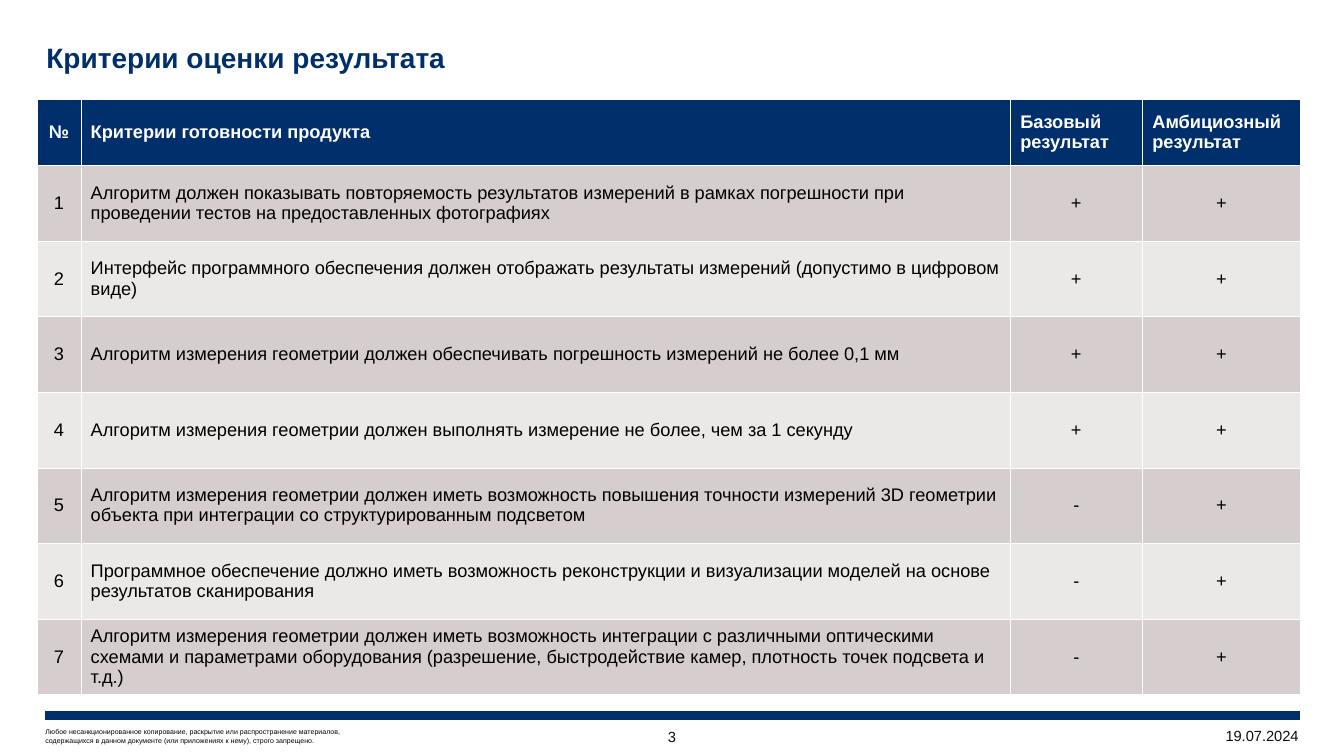
from lxml.etree import SubElement
from pptx import Presentation
from pptx.dml.color import RGBColor
from pptx.enum.shapes import MSO_CONNECTOR
from pptx.enum.text import MSO_ANCHOR, PP_ALIGN
from pptx.oxml.ns import qn
from pptx.util import Emu, Pt

NAVY = RGBColor(0x00, 0x2F, 0x6C)
WHITE = RGBColor(0xFF, 0xFF, 0xFF)
BLACK = RGBColor(0x00, 0x00, 0x00)
NEAR_BLACK = RGBColor(0x0D, 0x0D, 0x0D)
BAND_DARK = RGBColor(0xD5, 0xCD, 0xCE)
BAND_LIGHT = RGBColor(0xEB, 0xE8, 0xE8)

HEADERS = ("№", "Критерии готовности продукта", "Базовый результат", "Амбициозный результат")
CRITERIA = (
    ("Алгоритм должен показывать повторяемость результатов измерений в рамках погрешности "
     "при проведении тестов на предоставленных фотографиях", "+", "+"),
    ("Интерфейс программного обеспечения должен отображать результаты измерений "
     "(допустимо в цифровом виде)", "+", "+"),
    ("Алгоритм измерения геометрии должен обеспечивать погрешность измерений "
     "не более 0,1 мм", "+", "+"),
    ("Алгоритм измерения геометрии должен выполнять измерение не более, "
     "чем за 1 секунду", "+", "+"),
    ("Алгоритм измерения геометрии должен иметь возможность повышения точности измерений "
     "3D геометрии объекта при интеграции со структурированным подсветом", "-", "+"),
    ("Программное обеспечение должно иметь возможность реконструкции и визуализации моделей "
     "на основе результатов сканирования", "-", "+"),
    ("Алгоритм измерения геометрии должен иметь возможность интеграции с различными "
     "оптическими схемами и параметрами оборудования (разрешение, быстродействие камер, "
     "плотность точек подсвета и т.д.)", "-", "+"),
)


def px(length):
    return Emu(length * 9144)


class SlideBuilder:
    font_name = "Arial"
    table_size = 13

    def __init__(self, presentation):
        self.slide = presentation.slides.add_slide(presentation.slide_layouts[6])

    def style(self, paragraph, size, color, bold=False, align=PP_ALIGN.LEFT):
        paragraph.alignment = align
        for run in paragraph.runs:
            run.font.name = self.font_name
            run.font.size = Pt(size)
            run.font.bold = bold
            run.font.color.rgb = color

    def text(self, box, content, size, color, bold=False, align=PP_ALIGN.LEFT,
             anchor=MSO_ANCHOR.MIDDLE, inset_top=0, line_spacing=None):
        shape = self.slide.shapes.add_textbox(*map(px, box))
        frame = shape.text_frame
        frame.word_wrap = True
        frame.vertical_anchor = anchor
        frame.margin_left = frame.margin_right = frame.margin_bottom = 0
        frame.margin_top = px(inset_top)
        paragraph = frame.paragraphs[0]
        paragraph.text = content
        paragraph.line_spacing = line_spacing
        self.style(paragraph, size, color, bold, align)

    def rule(self, left, right, top, width, color):
        connector = self.slide.shapes.add_connector(
            MSO_CONNECTOR.STRAIGHT, px(left), px(top), px(right), px(top))
        connector.line.color.rgb = color
        connector.line.width = Pt(width)
        SubElement(connector._element.spPr, qn("a:effectLst"))

    def borders(self, cell, color, width):
        properties = cell._tc.get_or_add_tcPr()
        for side in ("a:lnL", "a:lnR", "a:lnT", "a:lnB"):
            line = SubElement(properties, qn(side), w=str(Pt(width)))
            fill = SubElement(line, qn("a:solidFill"))
            SubElement(fill, qn("a:srgbClr"), val=str(color))

    def cell(self, cell, content, fill, color, bold, align):
        self.borders(cell, WHITE, 0.25)
        cell.fill.solid()
        cell.fill.fore_color.rgb = fill
        cell.vertical_anchor = MSO_ANCHOR.MIDDLE
        cell.text_frame.text = content
        self.style(cell.text_frame.paragraphs[0], self.table_size, color, bold, align)

    def table(self, left, top, widths, heights, rows):
        table = self.slide.shapes.add_table(
            len(rows), len(widths), px(left), px(top), px(sum(widths)), px(sum(heights))).table
        for column, width in zip(table.columns, widths):
            column.width = px(width)
        for row, height in zip(table.rows, heights):
            row.height = px(height)
        for row_index, row in enumerate(rows):
            header = row_index == 0
            fill = NAVY if header else (BAND_LIGHT, BAND_DARK)[row_index % 2]
            for column_index, content in enumerate(row):
                centred = column_index == 0 or (column_index > 1 and not header)
                self.cell(table.cell(row_index, column_index), content, fill,
                          WHITE if header else BLACK, header,
                          PP_ALIGN.CENTER if centred else PP_ALIGN.LEFT)


def main():
    presentation = Presentation()
    presentation.slide_width = px(1333)
    presentation.slide_height = px(750)
    builder = SlideBuilder(presentation)
    builder.text((45, 722, 512, 17),
                 "Любое несанкционированное копирование, раскрытие или распространение материалов,\v"
                 "содержащихся в данном документе (или приложениях к нему), строго запрещено.",
                 5, BLACK)
    builder.rule(45, 1289, 710, 6, NAVY)
    builder.text((631, 718, 71, 25), "3", 10.5, NEAR_BLACK, align=PP_ALIGN.CENTER)
    builder.text((46, 41, 1135, 33), "Критерии оценки результата", 20, NAVY,
                 bold=True, inset_top=4, line_spacing=0.85)
    rows = [HEADERS] + [(str(number), *criterion) for number, criterion in enumerate(CRITERIA, 1)]
    builder.table(37, 98, (43, 922, 131, 157), [66] + [75] * len(CRITERIA), rows)
    builder.text((1194, 721, 94, 18), "19.07.2024", 10.5, NEAR_BLACK,
                 align=PP_ALIGN.RIGHT, anchor=MSO_ANCHOR.TOP)
    presentation.save("out.pptx")


if __name__ == "__main__":
    main()
